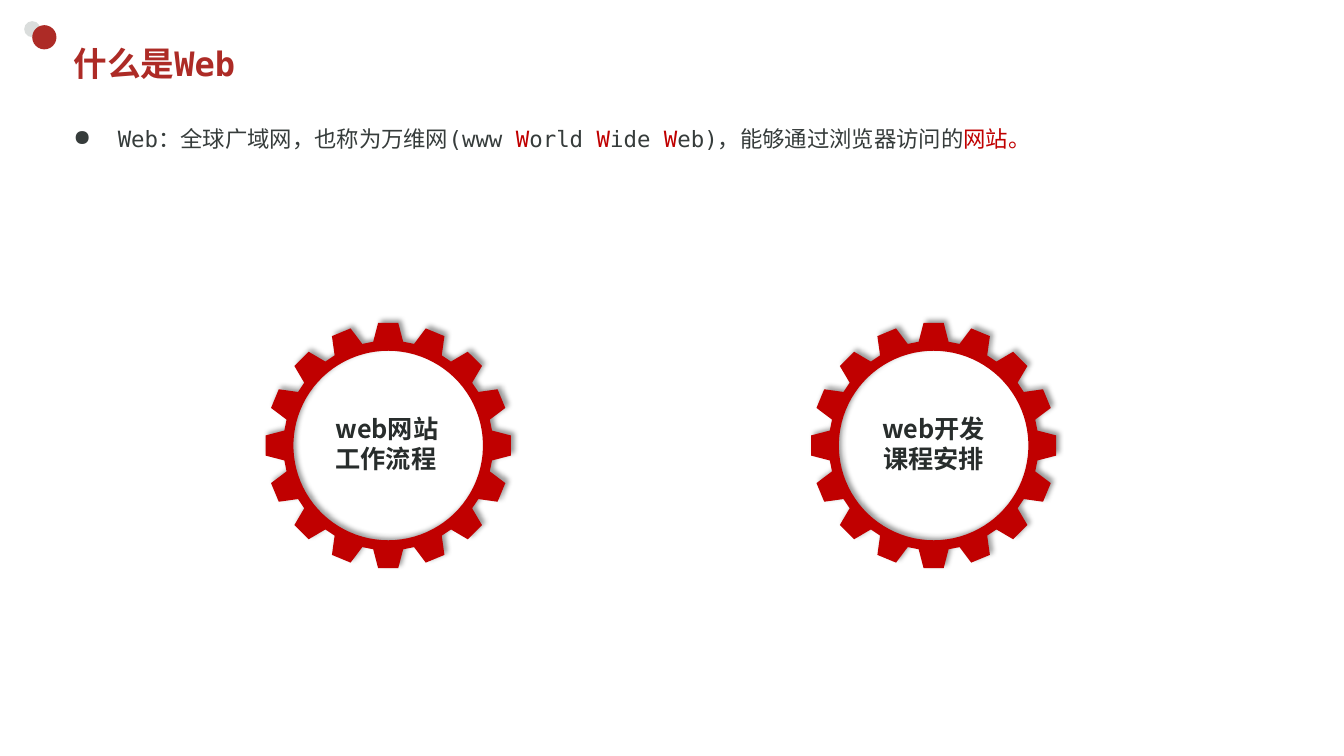
from itertools import product
from math import cos, radians, sin

from lxml.etree import SubElement
from pptx import Presentation
from pptx.dml.color import RGBColor
from pptx.enum.shapes import MSO_SHAPE
from pptx.enum.text import MSO_ANCHOR, MSO_AUTO_SIZE, PP_ALIGN
from pptx.oxml.ns import qn
from pptx.util import Inches, Pt

COLORS = {
    "brand": "AD2B26",
    "pale": "DADDDC",
    "gear": "C00000",
    "body": "363C3B",
    "label": "282D2C",
    "shadow": "000000",
}
MONO = "DejaVu Sans Mono"
SANS = "Noto Sans CJK JP"
TEETH = 16
TOOTH_CORNERS = ((1.04, -8.2), (1.22, -4.7), (1.22, 4.7), (1.04, 8.2))
HOLE_RADIUS = 0.94
HOLE_STEP = 4


def polar(center, radius, degrees):
    angle = radians(degrees)
    return (
        Inches(center[0] + radius * sin(angle)),
        Inches(center[1] - radius * cos(angle)),
    )


class WebSlide:
    styles = {
        "title": {"size": Pt(24), "name": MONO, "bold": True},
        "body": {"size": Pt(16), "name": MONO, "bold": False},
        "label": {"size": Pt(18), "name": SANS, "bold": True},
    }

    def __init__(self, deck):
        self.slide = deck.slides.add_slide(deck.slide_layouts[5])

    def paint(self, shape, color):
        shape.shadow.inherit = False
        shape.fill.solid()
        shape.fill.fore_color.rgb = RGBColor.from_string(COLORS[color])
        shape.line.fill.background()

    def dot(self, left, top, size, color):
        circle = self.slide.shapes.add_shape(
            MSO_SHAPE.OVAL, Inches(left), Inches(top), Inches(size), Inches(size)
        )
        self.paint(circle, color)

    def add_text(self, paragraph, text, style, color):
        run = paragraph.add_run()
        run.text = text
        for attribute, value in self.styles[style].items():
            setattr(run.font, attribute, value)
        run.font.color.rgb = RGBColor.from_string(COLORS[color])
        properties = run._r.get_or_add_rPr()
        SubElement(properties, qn("a:ea")).set("typeface", SANS)

    def frame(self, shape, **settings):
        for attribute, value in {"word_wrap": True, **settings}.items():
            setattr(shape.text_frame, attribute, value)
        return shape.text_frame

    def box(self, left, top, width, height):
        return self.slide.shapes.add_textbox(
            Inches(left), Inches(top), Inches(width), Inches(height)
        )

    def title(self, text, left, top, width, height):
        heading = self.slide.shapes.title
        place = {"left": left, "top": top, "width": width, "height": height}
        for attribute, value in place.items():
            setattr(heading, attribute, Inches(value))
        frame = self.frame(heading, vertical_anchor=MSO_ANCHOR.MIDDLE)
        frame.paragraphs[0].alignment = PP_ALIGN.LEFT
        self.add_text(frame.paragraphs[0], text, "title", "brand")

    def bullet(self, parts, left, top, width, height):
        frame = self.frame(
            self.box(left, top, width, height), vertical_anchor=MSO_ANCHOR.MIDDLE
        )
        definition = frame.paragraphs[0]
        definition.line_spacing = 1.5
        properties = definition._p.get_or_add_pPr()
        properties.set("marL", str(Inches(0.44)))
        properties.set("indent", str(-Inches(0.44)))
        SubElement(properties, qn("a:buChar")).set("char", "●")
        for text, color in parts:
            self.add_text(definition, text, "body", color)

    def gear(self, x, y):
        center = (x, y)
        rim = [
            polar(center, radius, tooth * 360 / TEETH + offset)
            for tooth, (radius, offset) in product(range(TEETH), TOOTH_CORNERS)
        ]
        hole = [
            polar(center, HOLE_RADIUS, angle) for angle in range(0, 360, HOLE_STEP)
        ]
        outline = self.slide.shapes.build_freeform(*rim[0])
        outline.add_line_segments(rim[1:])
        outline.move_to(*hole[0])
        outline.add_line_segments(hole[1:])
        wheel = outline.convert_to_shape()
        self.paint(wheel, "gear")
        effects = wheel._element.spPr.find(qn("a:effectLst"))
        shadow = SubElement(effects, qn("a:outerShdw"))
        settings = {"blurRad": Pt(4), "dist": Pt(3), "dir": 315 * 60000}
        for attribute, value in settings.items():
            shadow.set(attribute, str(value))
        shade = SubElement(shadow, qn("a:srgbClr"))
        shade.set("val", COLORS["shadow"])
        SubElement(shade, qn("a:alpha")).set("val", "40000")

    def label(self, lines, left, width, alignment):
        frame = self.frame(
            self.box(left, 4.05, width, 0.71),
            auto_size=MSO_AUTO_SIZE.SHAPE_TO_FIT_TEXT,
        )
        for index, text in enumerate(lines):
            line = frame.add_paragraph() if index else frame.paragraphs[0]
            line.alignment = alignment
            line.line_spacing = Pt(21.6)
            self.add_text(line, text, "label", "label")


def main():
    deck = Presentation()
    deck.slide_width, deck.slide_height = Inches(13.33), Inches(7.5)
    page = WebSlide(deck)
    page.dot(0.24, 0.21, 0.16, "pale")
    page.dot(0.32, 0.25, 0.24, "brand")
    page.title("什么是Web", 0.63, 0.37, 11.75, 0.52)
    definition = [
        ("Web：全球广域网，也称为万维网(www ", "body"),
        ("W", "gear"),
        ("orld ", "body"),
        ("W", "gear"),
        ("ide ", "body"),
        ("W", "gear"),
        ("eb)，能够通过浏览器访问的", "body"),
        ("网站。", "gear"),
    ]
    page.bullet(definition, 0.63, 1.05, 12.1, 0.52)
    topics = [
        (3.85, ["web网站工作流程"], 3.23, 1.23, PP_ALIGN.LEFT),
        (9.26, ["web开发", "课程安排"], 8.46, 1.6, PP_ALIGN.CENTER),
    ]
    for center, lines, left, width, alignment in topics:
        page.gear(center, 4.42)
        page.label(lines, left, width, alignment)
    deck.save("out.pptx")


if __name__ == "__main__":
    main()
